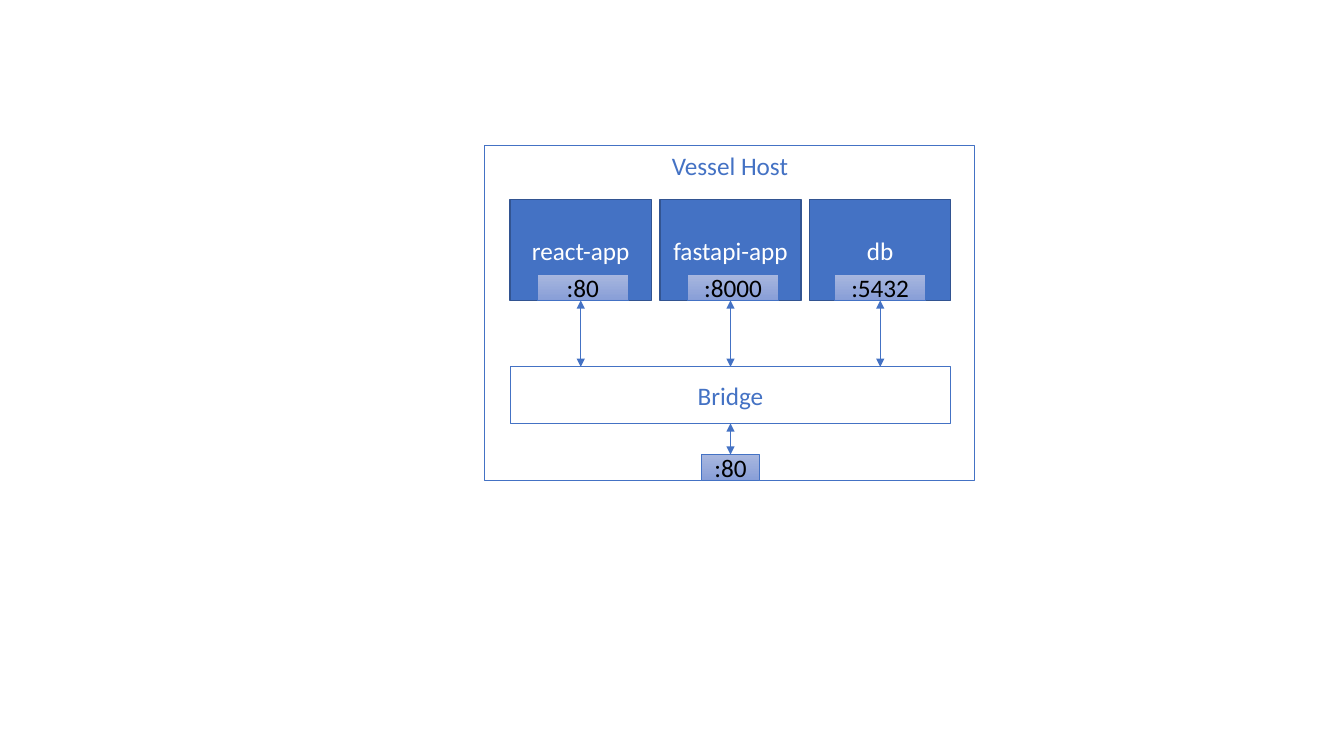
from typing import NamedTuple, Optional

from pptx import Presentation
from pptx.dml.color import RGBColor
from pptx.enum.shapes import MSO_CONNECTOR as Connector, MSO_SHAPE as Preset
from pptx.enum.text import MSO_ANCHOR as Anchor, PP_ALIGN as Align
from pptx.oxml.ns import qn
from pptx.slide import Slide
from pptx.util import Inches, Pt
from lxml.etree import SubElement

BLUE, DARK_BLUE, WHITE, BLACK = "4472C4", "325491", "FFFFFF", "000000"
TAG_GRADIENT = ("A8B7DF", "889ED7")


class Area(NamedTuple):
    """A rectangle on the slide, in inches."""
    left: float
    top: float
    width: float
    height: float

    @property
    def bottom(self) -> float:
        return self.top + self.height

    @property
    def center(self) -> float:
        return self.left + self.width / 2


class Look(NamedTuple):
    """Colours and line of a box; no fill colours means a hollow box."""
    fills: tuple[str, ...]
    line: str
    line_width: float
    text: str
    anchor: Anchor = Anchor.MIDDLE


class Container(NamedTuple):
    """An application container and its port tag."""
    name: str
    port: str
    tag_left: float


HOST_LOOK = Look((), BLUE, 0.75, BLUE, Anchor.TOP)
BRIDGE_LOOK = Look((), BLUE, 0.75, BLUE)
CONTAINER_LOOK = Look((BLUE,), DARK_BLUE, 1, WHITE)
TAG_LOOK = Look(TAG_GRADIENT, BLUE, 0.5, BLACK)

HOST = Area(4.81, 1.44, 4.86, 3.33)
BRIDGE = Area(5.06, 3.64, 4.37, 0.56)
CONTAINER_TOP, CONTAINER_WIDTH, CONTAINER_HEIGHT = 1.98, 1.4, 1
TAG_WIDTH, HOST_TAG_WIDTH, TAG_HEIGHT = 0.9, 0.58, 0.26
CONTAINERS = (
    Container("react-app", ":80", 5.33),
    Container("fastapi-app", ":8000", 6.82),
    Container("db", ":5432", 8.28),
)


def color(value: str) -> RGBColor:
    """Turn a hex string into a colour."""
    return RGBColor.from_string(value)


def add_box(slide: Slide, area: Area, text: str, look: Look) -> None:
    """Draw a labelled rectangle."""
    box = slide.shapes.add_shape(Preset.RECTANGLE, *map(Inches, area))
    box.shadow.inherit = False
    if not look.fills:
        box.fill.background()
    elif len(look.fills) == 1:
        box.fill.solid()
        box.fill.fore_color.rgb = color(look.fills[0])
    else:
        box.fill.gradient()
        box.fill.gradient_angle = 270
        for stop, value in zip(box.fill.gradient_stops, look.fills):
            stop.color.rgb = color(value)
    box.line.color.rgb = color(look.line)
    box.line.width = Pt(look.line_width)

    frame = box.text_frame
    frame.word_wrap = True
    frame.vertical_anchor = look.anchor
    para = frame.paragraphs[0]
    para.alignment = Align.CENTER
    span = para.add_run()
    span.text = text
    for name, value in {"name": "Calibri", "size": Pt(18)}.items():
        setattr(span.font, name, value)
    span.font.color.rgb = color(look.text)


def add_arrow(slide: Slide, x: float, top: float, bottom: float) -> None:
    """Draw a vertical arrow with a head at both ends."""
    arrow = slide.shapes.add_connector(
        Connector.STRAIGHT, *map(Inches, (x, top, x, bottom)))
    arrow.line.color.rgb = color(BLUE)
    arrow.line.width = Pt(0.5)
    properties = arrow.line._get_or_add_ln()
    for end in ("a:headEnd", "a:tailEnd"):
        SubElement(properties, qn(end), type="triangle")
    SubElement(properties.getparent(), qn("a:effectLst"))


def add_tag(slide: Slide, port: str, left: float, bottom: float,
            width: float = TAG_WIDTH) -> None:
    """Draw a port tag that rests on the given bottom edge."""
    area = Area(left, bottom - TAG_HEIGHT, width, TAG_HEIGHT)
    add_box(slide, area, port, TAG_LOOK)


def add_container(slide: Slide, container: Container, left: float) -> None:
    """Draw a container, its port tag and its arrow to the bridge."""
    area = Area(left, CONTAINER_TOP, CONTAINER_WIDTH, CONTAINER_HEIGHT)
    add_box(slide, area, container.name, CONTAINER_LOOK)
    add_arrow(slide, area.center, area.bottom, BRIDGE.top)
    add_tag(slide, container.port, container.tag_left, area.bottom)


def build_deck(target: Optional[Presentation] = None):
    """Build the one-slide deck with the network diagram."""
    deck = target or Presentation()
    deck.slide_width, deck.slide_height = Inches(13.33), Inches(7.5)
    page = deck.slides.add_slide(deck.slide_layouts[6])

    add_box(page, HOST, "Vessel Host", HOST_LOOK)
    add_box(page, BRIDGE, "Bridge", BRIDGE_LOOK)
    pitch = (BRIDGE.width - CONTAINER_WIDTH) / (len(CONTAINERS) - 1)
    for index, container in enumerate(CONTAINERS):
        add_container(page, container, BRIDGE.left + index * pitch)

    add_tag(page, ":80", BRIDGE.center - HOST_TAG_WIDTH / 2, HOST.bottom,
            HOST_TAG_WIDTH)
    add_arrow(page, BRIDGE.center, BRIDGE.bottom, HOST.bottom - TAG_HEIGHT)
    return deck


build_deck().save("out.pptx")
